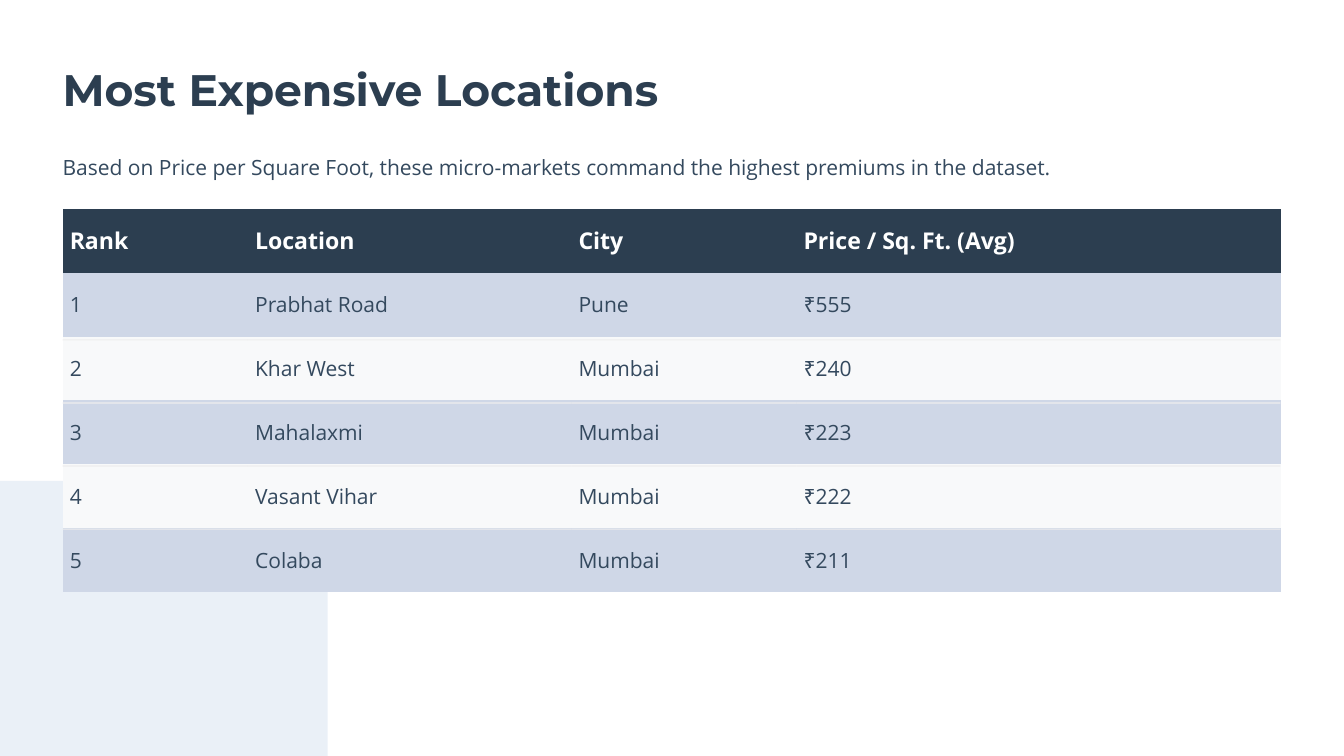
from itertools import accumulate

from pptx import Presentation
from pptx.dml.color import RGBColor
from pptx.enum.shapes import MSO_SHAPE as Shape
from pptx.enum.text import MSO_ANCHOR as Anchor, MSO_AUTO_SIZE as Fit, PP_ALIGN as Align
from pptx.oxml import parse_xml
from pptx.oxml.ns import nsdecls, qn
from pptx.util import Cm, Pt

NAVY, SLATE, WHITE = "2C3E50", "34495E", "FFFFFF"
BANDS = ["CFD7E7", "F8F9FA"]
PLAIN = "{2D5ABB26-0587-4C30-8999-92F81FD0307C}"  # table style without grid
LEFT, WIDE = 1.58, 30.69
COLS = [4.67, 8.15, 5.67, 12.2]
ROWS = [
    ["Rank", "Location", "City", "Price / Sq. Ft. (Avg)"],
    ["1", "Prabhat Road", "Pune", "₹555"],
    ["2", "Khar West", "Mumbai", "₹240"],
    ["3", "Mahalaxmi", "Mumbai", "₹223"],
    ["4", "Vasant Vihar", "Mumbai", "₹222"],
    ["5", "Colaba", "Mumbai", "₹211"],
]


def paint(fill, color):
    fill.solid()
    fill.fore_color.rgb = RGBColor.from_string(color)


def write(frame, text, size=15, color=SLATE, font="Open Sans", bold=False, space=None):
    para = frame.paragraphs[0]
    para.alignment = Align.LEFT
    para.line_spacing = space
    run = para.add_run()
    run.text = text
    face = run.font
    face.name, face.size, face.bold = font, Pt(size), bold
    face.color.rgb = RGBColor.from_string(color)


def strip(frame):
    """Remove the insets of a text frame and start its text at the top."""
    frame.margin_left = frame.margin_right = 0
    frame.margin_top = frame.margin_bottom = 0
    frame.word_wrap = True
    frame.auto_size = Fit.NONE
    frame.vertical_anchor = Anchor.TOP


def block(slide, kind, box, color, alpha=None):
    shape = slide.shapes.add_shape(kind, *map(Cm, box))
    shape.shadow.inherit = False
    shape.line.fill.background()
    paint(shape.fill, color)
    if alpha:
        tint = shape.fill._xPr.find(qn("a:solidFill"))[0]
        tint.append(parse_xml(f'<a:alpha {nsdecls("a")} val="{alpha * 1000}"/>'))


def head(slide, text):
    title = slide.shapes.title
    title.left, title.top, title.width, title.height = map(Cm, (LEFT, 1.58, 32.23, 1.37))
    strip(title.text_frame)
    write(title.text_frame, text, size=31.5, color=NAVY, font="Montserrat", bold=True)


def note(slide, text):
    box = slide.shapes.add_textbox(*map(Cm, (LEFT, 3.51, WIDE, 0.84)))
    strip(box.text_frame)
    write(box.text_frame, text, space=1.6)


def grid(slide, top, high):
    box = map(Cm, (LEFT, top, WIDE, high * len(ROWS)))
    table = slide.shapes.add_table(len(ROWS), len(COLS), *box).table
    table._tbl.tblPr.find(qn("a:tableStyleId")).text = PLAIN
    for col, width in zip(table.columns, COLS):
        col.width = Cm(width)
    for r, row in enumerate(ROWS):
        table.rows[r].height = Cm(high)
        for c, text in enumerate(row):
            cell = table.cell(r, c)
            cell.margin_left = cell.margin_right = Cm(0.18)
            cell.margin_top = cell.margin_bottom = Cm(0.08)
            cell.vertical_anchor = Anchor.MIDDLE
            if r == 0:
                paint(cell.fill, NAVY)
                write(cell.text_frame, text, size=16.5, color=WHITE, bold=True)
            else:
                paint(cell.fill, BANDS[(r - 1) % 2])
                write(cell.text_frame, text)


def rules(slide, top, step):
    edges = accumulate(COLS[:-1], initial=LEFT)
    for left, width in zip(edges, COLS):
        for n in range(len(ROWS) - 2):
            block(slide, Shape.RECTANGLE, (left, top + n * step, width, 0.03), "EEEEEE")


def main():
    deck = Presentation()
    deck.slide_width, deck.slide_height = Cm(33.87), Cm(19.05)
    slide = deck.slides.add_slide(deck.slide_layouts[5])
    paint(slide.background.fill, WHITE)
    block(slide, Shape.ROUNDED_RECTANGLE, (-2.97, 12.12, 11.23, 11.23), "DCE6F2", alpha=59)
    note(slide, "Based on Price per Square Foot, these micro-markets command "
                "the highest premiums in the dataset.")
    grid(slide, top=5.26, high=1.61)
    rules(slide, top=8.55, step=1.59)
    head(slide, "Most Expensive Locations")
    deck.save("out.pptx")


if __name__ == "__main__":
    main()
